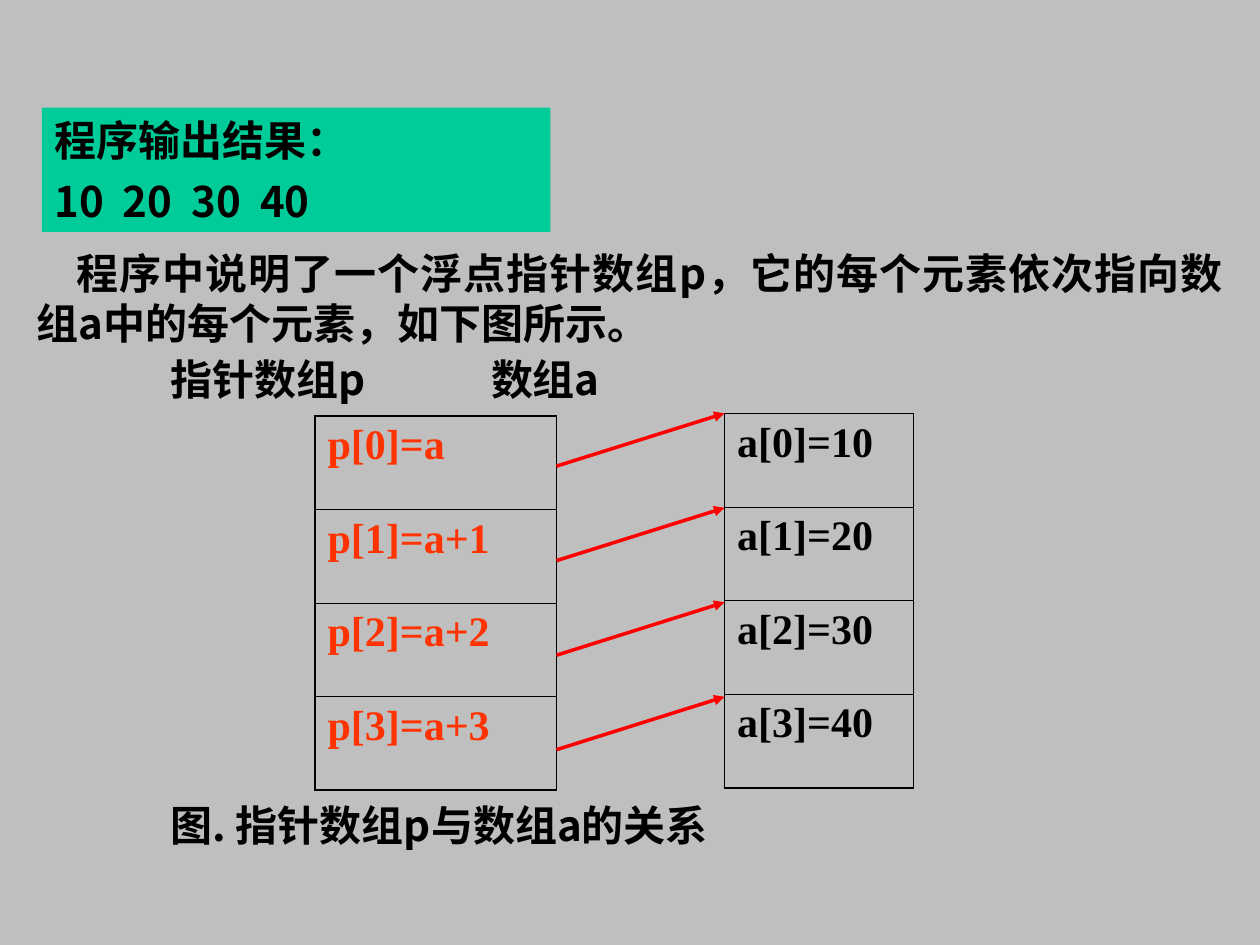
import pptx
import pptx.dml.color
import pptx.enum.shapes
import pptx.enum.text
import pptx.oxml
import pptx.oxml.ns
import pptx.util

Pt = pptx.util.Pt
COLORS = {
    "background": "BFBFBF",
    "panel": "00CC99",
    "text": "000000",
    "pointer": "FF3300",
    "arrow": "FF0000",
}
CJK_FONT = "Noto Sans CJK SC"
CODE_FONT = "Times New Roman"
ROW_COUNT = 4
ROW_HEIGHT = 53.5
ARROW_PITCH = 54


def rgb(name):
    return pptx.dml.color.RGBColor.from_string(COLORS[name])


def set_attributes(target, values):
    for name, value in values.items():
        setattr(target, name, value)


class SlideBuilder:
    """Holds the shared text style and the slide being filled."""

    font_format = {"size": Pt(24), "bold": True}
    frame_format = {
        "word_wrap": True,
        "margin_left": Pt(7.2),
        "margin_right": Pt(7.2),
        "margin_top": Pt(3.6),
        "margin_bottom": Pt(3.6),
    }

    def __init__(self, slide):
        self.slide = slide
        fill = slide.background.fill
        fill.solid()
        fill.fore_color.rgb = rgb("background")

    def span(self, para, text, font=CJK_FONT, color="text"):
        span = para.add_run()
        span.text = text
        set_attributes(span.font, {**self.font_format, "name": font})
        span.font.color.rgb = rgb(color)
        east_asian = pptx.oxml.parse_xml(
            f'<a:ea {pptx.oxml.ns.nsdecls("a")} typeface="{CJK_FONT}"/>')
        span.font._element.append(east_asian)

    def text(self, lines, left, top, width, height, fill=None, gap=0, indent=0,
             align=pptx.enum.text.PP_ALIGN.LEFT):
        """Add a text box; gap separates paragraphs, indent moves first lines."""
        box = self.slide.shapes.add_textbox(Pt(left), Pt(top), Pt(width), Pt(height))
        if fill:
            box.fill.solid()
            box.fill.fore_color.rgb = rgb(fill)
        frame = box.text_frame
        set_attributes(frame, self.frame_format)
        for index, line in enumerate(lines):
            para = frame.add_paragraph() if index else frame.paragraphs[0]
            set_attributes(para, {
                "alignment": align,
                "line_spacing": Pt(29),
                "space_before": Pt(gap if index else 0),
            })
            if indent:
                para._p.get_or_add_pPr().set("indent", str(Pt(indent)))
            self.span(para, line)

    def border(self, cell, side, width):
        line = pptx.oxml.parse_xml(
            f'<a:ln{side} {pptx.oxml.ns.nsdecls("a")} w="{Pt(width)}">'
            f'<a:solidFill><a:srgbClr val="{COLORS["text"]}"/></a:solidFill></a:ln{side}>')
        cell._tc.get_or_add_tcPr().append(line)

    def array_table(self, entries, left, top, width, color):
        """Add a one-column table with a thick outline and thin row lines."""
        table = self.slide.shapes.add_table(
            len(entries), 1, Pt(left), Pt(top), Pt(width),
            Pt(ROW_HEIGHT * len(entries))).table
        set_attributes(table, {"first_row": False, "horz_banding": False})
        for index, entry in enumerate(entries):
            table.rows[index].height = Pt(ROW_HEIGHT)
            cell = table.cell(index, 0)
            self.span(cell.text_frame.paragraphs[0], entry, CODE_FONT, color)
            widths = {
                "L": 1.08,
                "R": 1.08,
                "T": 1.08 if index == 0 else 0.45,
                "B": 1.08 if index == len(entries) - 1 else 0.45,
            }
            for side, line_width in widths.items():
                self.border(cell, side, line_width)
            cell.fill.background()

    def arrow(self, start_x, start_y, end_x, end_y):
        arrow = self.slide.shapes.add_connector(
            pptx.enum.shapes.MSO_CONNECTOR.STRAIGHT,
            Pt(start_x), Pt(start_y), Pt(end_x), Pt(end_y))
        arrow.line.color.rgb = rgb("arrow")
        arrow.line.width = Pt(2)
        namespace = pptx.oxml.ns.nsdecls("a")
        arrow.line._get_or_add_ln().append(
            pptx.oxml.parse_xml(f'<a:tailEnd {namespace} type="triangle"/>'))
        arrow._element.spPr.append(pptx.oxml.parse_xml(f"<a:effectLst {namespace}/>"))


def main():
    deck = pptx.Presentation()
    set_attributes(deck, {"slide_width": Pt(720), "slide_height": Pt(540)})
    page = SlideBuilder(deck.slides.add_slide(deck.slide_layouts[6]))

    page.text(["程序中说明了一个浮点指针数组p，它的每个元素依次指向数组a中的每个元素，如下图所示。"],
              13.7, 137.5, 692, 65, indent=23,
              align=pptx.enum.text.PP_ALIGN.JUSTIFY)
    page.text(["指针数组p"], 90.5, 198.5, 160, 36)
    page.text(["数组a"], 273.5, 198.5, 120, 36)
    page.text(["图. 指针数组p与数组a的关系"], 90.5, 453, 420, 36)
    page.text(["程序输出结果：", "10  20  30  40"], 24, 61.5, 290.5, 71,
              fill="panel", gap=6)

    values = [f"a[{i}]={10 * (i + 1)}" for i in range(ROW_COUNT)]
    pointers = [f"p[{i}]=a+{i}" if i else "p[0]=a" for i in range(ROW_COUNT)]
    page.array_table(values, 414, 236.2, 108, "text")
    page.array_table(pointers, 180, 237.6, 138, "pointer")
    for index in range(ROW_COUNT):
        offset = index * ARROW_PITCH
        page.arrow(318, 266.4 + offset, 414, 236.2 + offset)

    deck.save("out.pptx")


if __name__ == "__main__":
    main()
